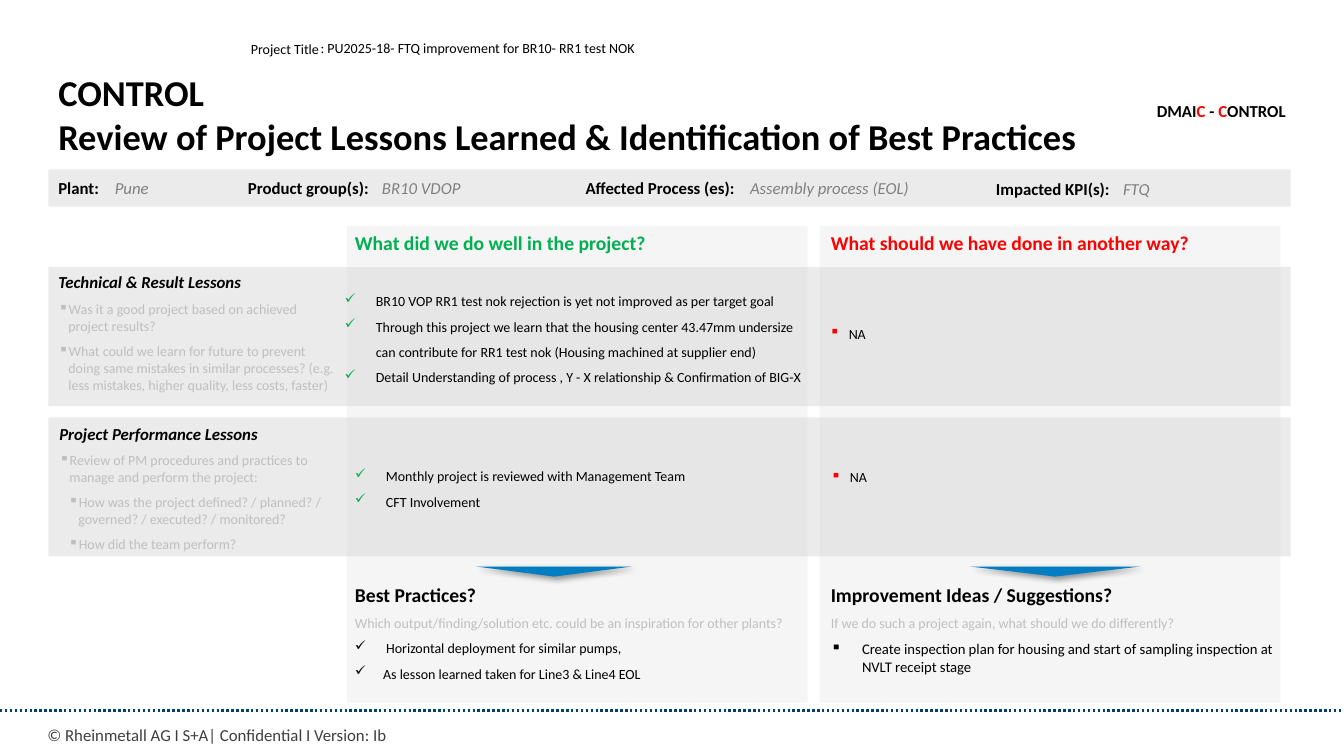
"""Build the lessons learned slide of the control phase."""
from dataclasses import dataclass

import lxml.etree
import pptx
import pptx.dml.color
import pptx.enum.dml
import pptx.enum.shapes
import pptx.enum.text
import pptx.oxml.ns
import pptx.util

Inches = pptx.util.Inches
Align = pptx.enum.text.PP_ALIGN
Anchor = pptx.enum.text.MSO_ANCHOR
Kind = pptx.enum.shapes.MSO_SHAPE


@dataclass(frozen=True)
class Theme:
    font: str = "Calibri"
    ink: str = "000000"
    foot: str = "3E3D40"
    hint: str = "BFBFBF"
    value: str = "808080"
    good: str = "00B050"
    bad: str = "FF0000"
    panel: str = "D9D9D9"
    arrow: str = "007EC1"
    rule: str = "00406E"
    title: float = 26
    head: float = 14
    label: float = 12
    idea: float = 10.5
    body: float = 10


T = Theme()


@dataclass(frozen=True)
class Para:
    runs: str | tuple[tuple[str, str], ...]
    size: float = T.body
    color: str = T.ink
    bold: bool = False
    ital: bool = False
    left: float = 0
    hang: float = 0
    mark: str = ""
    tint: str = ""
    align: Align = Align.LEFT


@dataclass(frozen=True)
class Box:
    x: float
    y: float
    w: float
    h: float
    paras: tuple[Para, ...]
    pad: bool = True
    wrap: bool = True
    anchor: Anchor = Anchor.TOP


@dataclass(frozen=True)
class Panel:
    x: float
    y: float
    w: float
    h: float
    alpha: int


@dataclass(frozen=True)
class Fact:
    x: float
    w: float
    label: str
    gap: float
    span: float
    value: str
    y: float = 1.71


def rgb(code: str) -> pptx.dml.color.RGBColor:
    """Turn a hex code into a colour."""
    return pptx.dml.color.RGBColor.from_string(code)


def sub(node, tag: str, **attrs: str):
    """Append a drawing element to a node."""
    return lxml.etree.SubElement(node, pptx.oxml.ns.qn(tag), attrs)


def write(par, para: Para) -> None:
    """Fill a paragraph with its text, bullet and font."""
    par.alignment = para.align
    if para.left:
        props = par._p.get_or_add_pPr()
        props.set("marL", str(Inches(para.left)))
        props.set("indent", str(-Inches(para.hang)))
        if para.tint:
            sub(sub(props, "a:buClr"), "a:srgbClr", val=para.tint)
        if para.mark:
            sub(props, "a:buChar", char=para.mark)
    if isinstance(para.runs, str):
        par.text = para.runs
        par.font.color.rgb = rgb(para.color)
    else:
        for text, color in para.runs:
            run = par.add_run()
            run.text = text
            run.font.color.rgb = rgb(color)
    font = par.font
    font.name, font.size = T.font, pptx.util.Pt(para.size)
    font.bold, font.italic = para.bold, para.ital


def draw_box(slide, box: Box) -> None:
    """Draw one text box."""
    area = map(Inches, (box.x, box.y, box.w, box.h))
    frame = slide.shapes.add_textbox(*area).text_frame
    frame.word_wrap = box.wrap
    frame.vertical_anchor = box.anchor
    if not box.pad:
        frame.margin_left = frame.margin_right = 0
        frame.margin_top = frame.margin_bottom = 0
    for i, para in enumerate(box.paras):
        par = frame.add_paragraph() if i else frame.paragraphs[0]
        if i:
            par.space_before = pptx.util.Pt(6)
        write(par, para)


def draw_form(slide, kind: Kind, area: tuple[float, ...], color: str):
    """Draw a filled shape without outline."""
    form = slide.shapes.add_shape(kind, *map(Inches, area))
    form.shadow.inherit = False
    form.fill.solid()
    form.fill.fore_color.rgb = rgb(color)
    form.line.fill.background()
    return form


def draw_panel(slide, item: Panel) -> None:
    """Draw a see-through panel."""
    form = draw_form(slide, Kind.RECTANGLE, (item.x, item.y, item.w, item.h), T.panel)
    tone = form._element.spPr.find(".//" + pptx.oxml.ns.qn("a:srgbClr"))
    sub(tone, "a:alpha", val=str(item.alpha * 1000))


def draw_arrow(slide, x: float, w: float) -> None:
    """Draw a flat triangle that points down, with a shadow."""
    form = draw_form(slide, Kind.ISOSCELES_TRIANGLE, (x, 5.62, w, 0.1), T.arrow)
    form.rotation = 180
    glow = form._element.spPr.find(pptx.oxml.ns.qn("a:effectLst"))
    cast = sub(glow, "a:outerShdw", blurRad="50800", dist="38100", dir="2700000",
               algn="tl", rotWithShape="0")
    sub(sub(cast, "a:srgbClr", val=T.ink), "a:alpha", val="40000")


def draw_rule(slide) -> None:
    """Draw the dotted line above the footer."""
    ends = map(Inches, (0, 7.05, 13.33, 7.05))
    rule = slide.shapes.add_connector(pptx.enum.shapes.MSO_CONNECTOR.STRAIGHT, *ends)
    rule.line.color.rgb = rgb(T.rule)
    rule.line.width = pptx.util.Pt(1.75)
    rule.line.dash_style = pptx.enum.dml.MSO_LINE.ROUND_DOT
    sub(rule._element.spPr, "a:effectLst")


def head(text: str, color: str = T.ink) -> Para:
    """Make a column heading."""
    return Para(text, T.head, color, bold=True)


def topic(text: str) -> Para:
    """Make a row heading."""
    return Para(text, T.label, bold=True, ital=True)


def hint(text: str, left: float = 0.1) -> Para:
    """Make a grey guiding question."""
    return Para(text, color=T.hint, left=left, hang=0.1, mark="▪")


def tick(text: str, tint: str = T.good, left: float = 0.31) -> Para:
    """Make a ticked point."""
    return Para(text, left=left, hang=left, mark="✓", tint=tint)


MISS = Para("NA", left=0.19, hang=0.19, mark="▪", tint=T.bad)
PANELS = (Panel(0.48, 1.68, 12.32, 0.37, 50),
          *(Panel(x, 2.24, 4.57, 4.73, 24) for x in (8.13, 3.44)),
          *(Panel(0.48, y, 12.32, 1.38, 50) for y in (4.14, 2.65)))
FACTS = (Fact(0.48, 0.61, "Plant:", 0.56, 0.54, "Pune"),
         Fact(2.36, 1.42, "Product group(s):", 1.33, 1.03, "BR10 VDOP"),
         Fact(5.71, 1.7, "Affected Process (es):", 1.63, 1.79, "Assembly process (EOL)"),
         Fact(9.78, 1.4, "Impacted KPI(s):", 1.26, 0.51, "FTQ", 1.72))
PHASE = (("DMAI", T.ink), ("C ", T.bad), ("- ", T.ink), ("C", T.bad), ("ONTROL", T.ink))
BOXES = (
    Box(0.47, 7.19, 4.86, 0.18, (Para("© Rheinmetall AG I S+A| Confidential I Version: Ib",
                                      T.label, T.foot),), pad=False),
    Box(2.39, 0.35, 3.23, 0.27, (Para("Project Title"),)),
    Box(3.18, 0.23, 3.31, 0.33, (Para(": PU2025-18- FTQ improvement for BR10- RR1 test NOK"),),
        pad=False, anchor=Anchor.BOTTOM),
    Box(0.48, 0.65, 12.36, 0.91, (Para(
        "CONTROL\vReview of Project Lessons Learned & Identification of Best Practices",
        T.title, bold=True),)),
    Box(11.16, 0.95, 1.69, 0.3, (Para(PHASE, T.label, bold=True, align=Align.RIGHT),)),
    Box(3.52, 2.29, 4.21, 0.38, (head("What did we do well in the project?", T.good),), pad=False),
    Box(8.24, 2.29, 4.57, 0.38, (head("What should we have done in another way?", T.bad),),
        pad=False),
    Box(0.48, 2.65, 2.95, 1.31, (
        topic("Technical & Result Lessons"),
        hint("Was it a good project based on achieved project results?"),
        hint("What could we learn for future to prevent doing same mistakes in similar "
             "processes? (e.g. less mistakes, higher quality, less costs, faster)"))),
    Box(0.49, 4.15, 2.94, 1.4, (
        topic("Project Performance Lessons"),
        hint("Review of PM procedures and practices to manage and perform the project:"),
        hint("How was the project defined? / planned? / governed? / executed? / monitored?", 0.19),
        hint("How did the team perform?", 0.19))),
    Box(3.32, 2.21, 7.81, 2.31, (
        tick("BR10 VOP RR1 test nok rejection is yet not improved as per target goal"),
        tick("Through this project we learn that the housing center 43.47mm undersize"),
        Para("can contribute for RR1 test nok (Housing machined at supplier end)", left=0.31),
        tick("Detail Understanding of process , Y - X relationship & Confirmation of BIG-X")),
        anchor=Anchor.MIDDLE),
    Box(3.42, 4.28, 4.49, 1.14, (tick("Monthly project is reviewed with Management Team"),
                                 tick("CFT Involvement")), anchor=Anchor.MIDDLE),
    Box(8.13, 2.74, 4.57, 1.14, (MISS,), anchor=Anchor.MIDDLE),
    Box(8.24, 4.16, 4.57, 1.14, (MISS,), pad=False, anchor=Anchor.MIDDLE),
    Box(3.52, 5.78, 4.49, 1.19, (
        head("Best Practices?"),
        Para("Which output/finding/solution etc. could be an inspiration for other plants?",
             color=T.hint),
        tick("Horizontal deployment for similar pumps,", T.ink),
        tick("As lesson learned taken for Line3 & Line4 EOL", T.ink, 0.28)), pad=False),
    Box(8.24, 5.78, 4.47, 1.19, (
        head("Improvement Ideas / Suggestions?"),
        Para("If we do such a project again, what should we do differently?", color=T.hint),
        Para("Create inspection plan for housing and start of sampling inspection at "
             "NVLT receipt stage", T.idea, left=0.31, hang=0.31, mark="▪")), pad=False),
)


def main() -> None:
    """Draw the slide and save it."""
    deck = pptx.Presentation()
    deck.slide_width, deck.slide_height = Inches(13.33), Inches(7.5)
    slide = deck.slides.add_slide(deck.slide_layouts[6])
    draw_rule(slide)
    for item in PANELS:
        draw_panel(slide, item)
    for x, w in ((4.72, 1.55), (9.62, 1.69)):
        draw_arrow(slide, x, w)
    for box in BOXES:
        draw_box(slide, box)
    for fact in FACTS:
        name = Para(fact.label, T.label, bold=True)
        value = Para(fact.value, T.label, T.value, ital=True)
        draw_box(slide, Box(fact.x, fact.y, fact.w, 0.3, (name,), wrap=False))
        draw_box(slide, Box(fact.x + fact.gap, fact.y, fact.span, 0.3, (value,), wrap=False))
    deck.save("out.pptx")


if __name__ == "__main__":
    main()
